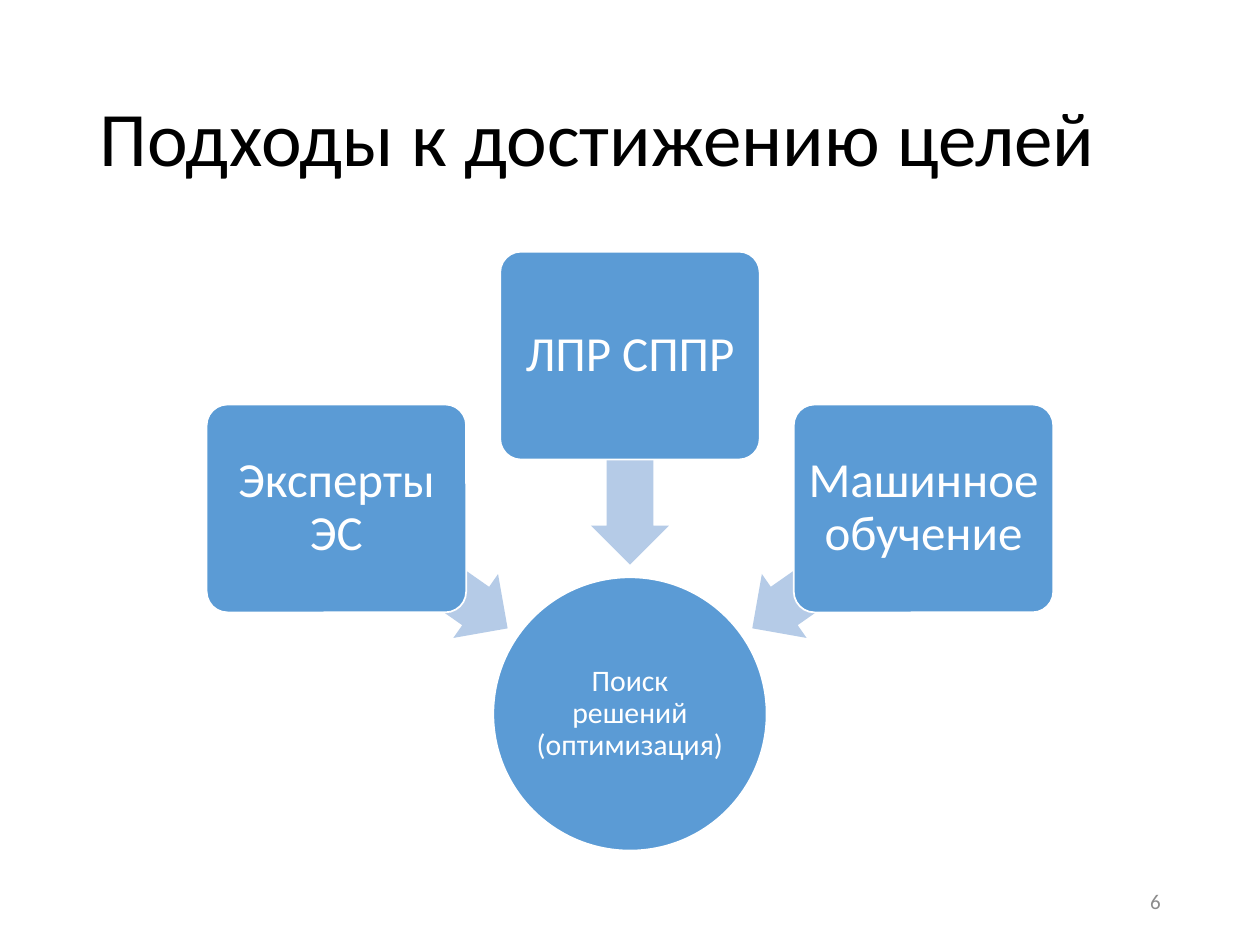
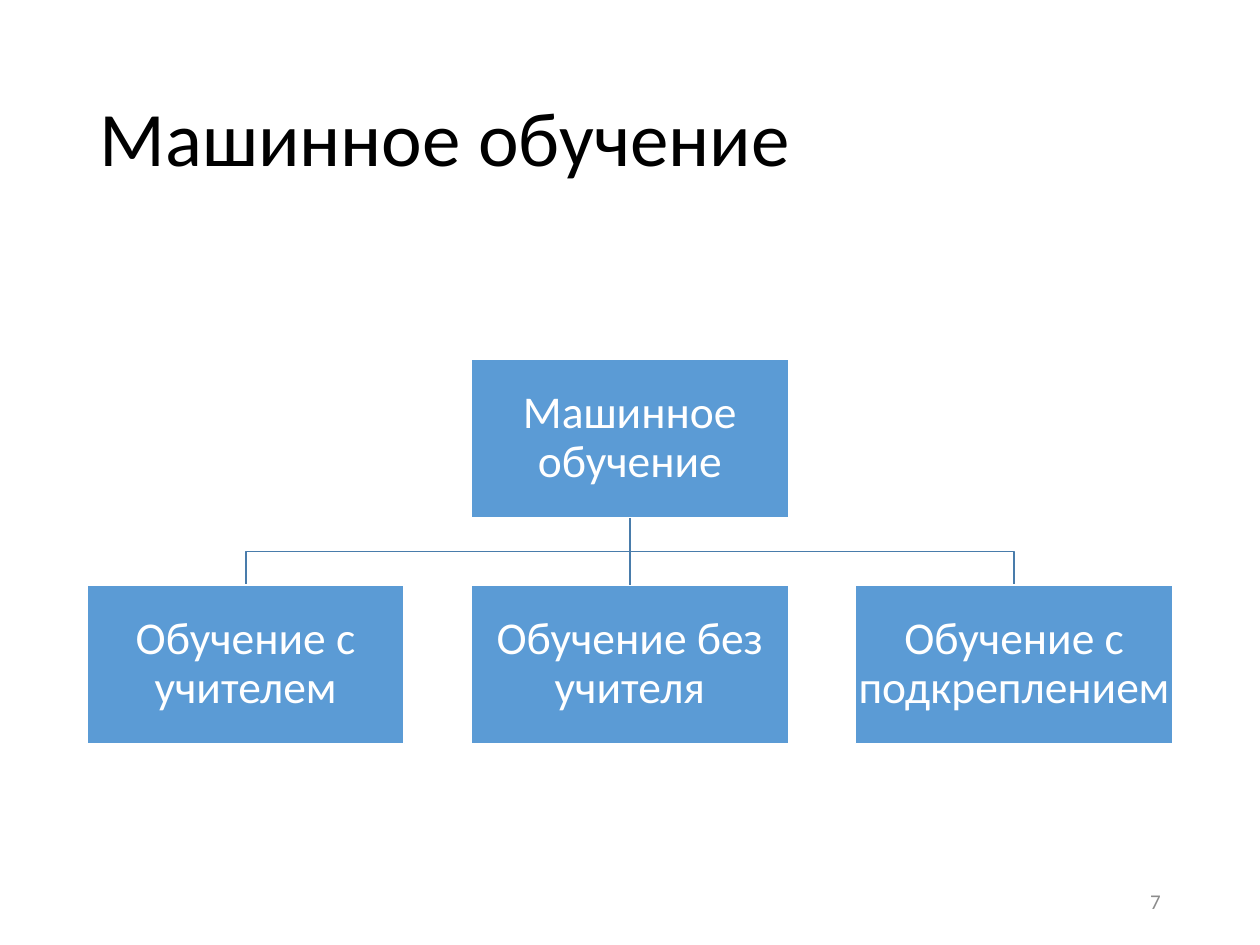
from dataclasses import dataclass
from math import cos, radians, sin

from lxml import etree
from pptx import Presentation
from pptx.dml.color import RGBColor
from pptx.enum.shapes import MSO_CONNECTOR, MSO_SHAPE
from pptx.enum.text import MSO_ANCHOR, PP_ALIGN
from pptx.oxml.ns import qn
from pptx.util import Pt

RECT, ROUND = MSO_SHAPE.RECTANGLE, MSO_SHAPE.ROUNDED_RECTANGLE
OVAL, ARROW = MSO_SHAPE.OVAL, MSO_SHAPE.LEFT_ARROW
STRAIGHT = MSO_CONNECTOR.STRAIGHT
LEFT, CENTER, RIGHT = PP_ALIGN.LEFT, PP_ALIGN.CENTER, PP_ALIGN.RIGHT
MIDDLE = MSO_ANCHOR.MIDDLE
TOP_SIDE, BOTTOM_SIDE = 0, 2


@dataclass(frozen=True)
class Theme:
    font: str = "Calibri"
    title: str = "000000"
    number: str = "8C8C8C"
    box: str = "5B9BD5"
    on_box: str = "FFFFFF"
    arrow: str = "B5CBE7"
    link: str = "497CAB"
    title_size: float = 44
    approach_size: float = 28
    branch_size: float = 26
    hub_size: float = 17
    number_size: float = 12
    line_width: float = 1


THEME = Theme()
SLIDE_W, SLIDE_H = 720, 540
MARGIN = 49.7
MID_X = SLIDE_W / 2


def rgb(value):
    return RGBColor.from_string(value)


def set_all(obj, values):
    for name, value in values.items():
        setattr(obj, name, value)


def set_line(sp, color):
    sp.line.color.rgb = rgb(color)
    sp.line.width = Pt(THEME.line_width)


def write(sp, text, size, color, align=CENTER, spacing=0.9, inset=None):
    tf = sp.text_frame
    set_all(tf, {"word_wrap": True, "vertical_anchor": MIDDLE})
    if inset is not None:
        sides = ("left", "top", "right", "bottom")
        set_all(tf, {f"margin_{side}": Pt(inset) for side in sides})
    p = tf.paragraphs[0]
    set_all(p, {"alignment": align, "line_spacing": spacing})
    r = p.add_run()
    r.text = text
    set_all(r.font, {"name": THEME.font, "size": Pt(size)})
    r.font.color.rgb = rgb(color)


def add_text(s, box, *args, **kwargs):
    sp = s.shapes.add_textbox(*map(Pt, box))
    write(sp, *args, **kwargs)


def add_centered(s, kind, cx, cy, w, h, fill, line=None):
    """Add a filled preset shape around a centre point."""
    sp = s.shapes.add_shape(kind, Pt(cx - w / 2), Pt(cy - h / 2), Pt(w), Pt(h))
    sp.shadow.inherit = False
    sp.fill.solid()
    sp.fill.fore_color.rgb = rgb(fill)
    if line:
        set_line(sp, line)
    else:
        sp.line.fill.background()
    return sp


def add_box(s, kind, cx, cy, w, h, text, size, inset):
    sp = add_centered(s, kind, cx, cy, w, h, THEME.box, THEME.on_box)
    write(sp, text, size, THEME.on_box, inset=inset)
    return sp


def add_link(s, x, top, bottom, start, end):
    """Join two boxes that stand one above the other."""
    c = s.shapes.add_connector(STRAIGHT, Pt(x), Pt(top), Pt(x), Pt(bottom))
    c.begin_connect(start, BOTTOM_SIDE)
    c.end_connect(end, TOP_SIDE)
    set_line(c, THEME.link)
    etree.SubElement(c._element.spPr, qn("a:effectLst"))


def add_elbow(s, x1, top, x2, bottom):
    """Draw an open line: down, across at half height, down."""
    mid_y = (top + bottom) / 2
    fb = s.shapes.build_freeform(Pt(x1), Pt(top))
    corners = [(x1, mid_y), (x2, mid_y), (x2, bottom)]
    fb.add_line_segments([(Pt(x), Pt(y)) for x, y in corners], close=False)
    sp = fb.convert_to_shape()
    sp.shadow.inherit = False
    sp.fill.background()
    set_line(sp, THEME.link)


def new_slide(prs, title, number):
    """Add a blank slide with the shared title and page number."""
    s = prs.slides.add_slide(prs.slide_layouts[6])
    add_text(s, (MARGIN, 28.8, SLIDE_W - 2 * MARGIN, 104.4), title,
             THEME.title_size, THEME.title, align=LEFT)
    add_text(s, (508.3, 500.4, 162, 28.8), str(number),
             THEME.number_size, THEME.number, align=RIGHT, spacing=1)
    return s


def add_converging(s, hub, approaches):
    """Place the approaches on an arc, each with an arrow to the hub."""
    hub_y, hub_d = 408, 156.2
    arrow_radius, box_radius = 145.1, 204.8
    add_box(s, OVAL, MID_X, hub_y, hub_d, hub_d, hub, THEME.hub_size, 0.7)
    for i, text in enumerate(approaches):
        angle = 215 + 55 * i
        dx, dy = cos(radians(angle)), sin(radians(angle))
        arrow = add_centered(s, ARROW, MID_X + arrow_radius * dx,
                             hub_y + arrow_radius * dy, 119.5, 44.6, THEME.arrow)
        arrow.rotation = angle
        arrow.adjustments[0] = 0.6
        arrow.adjustments[1] = 0.5
        box = add_box(s, ROUND, MID_X + box_radius * dx, hub_y + box_radius * dy,
                      148.3, 118.8, text, THEME.approach_size, 4.2)
        box.adjustments[0] = 0.1


def add_tree(s, root, branches):
    """Draw a root box above a row of evenly spaced branches."""
    w, h, pitch = 181.4, 90.7, 219.6
    root_y, branch_y = 250.6, 379.6
    root_bottom, branch_top = root_y + h / 2, branch_y - h / 2
    middle = (len(branches) - 1) / 2
    xs = [MID_X + pitch * (i - middle) for i in range(len(branches))]

    for x in xs:
        if x != MID_X:
            add_elbow(s, MID_X, root_bottom, x, branch_top)
    root_box = add_box(s, RECT, MID_X, root_y, w, h, root, THEME.branch_size, 1.2)
    for x, text in zip(xs, branches):
        box = add_box(s, RECT, x, branch_y, w, h, text, THEME.branch_size, 1.2)
        if x == MID_X:
            add_link(s, x, root_bottom, branch_top, root_box, box)


def main():
    prs = Presentation()
    set_all(prs, {"slide_width": Pt(SLIDE_W), "slide_height": Pt(SLIDE_H)})

    # Approaches
    s = new_slide(prs, "Подходы к достижению целей", 6)
    add_converging(s, "Поиск решений (оптимизация)",
                   ["Эксперты ЭС", "ЛПР СППР", "Машинное обучение"])

    # Kinds of machine learning
    s = new_slide(prs, "Машинное обучение", 7)
    add_tree(s, "Машинное обучение",
             ["Обучение с учителем", "Обучение без учителя",
              "Обучение с подкреплением"])

    prs.save("out.pptx")


if __name__ == "__main__":
    main()
